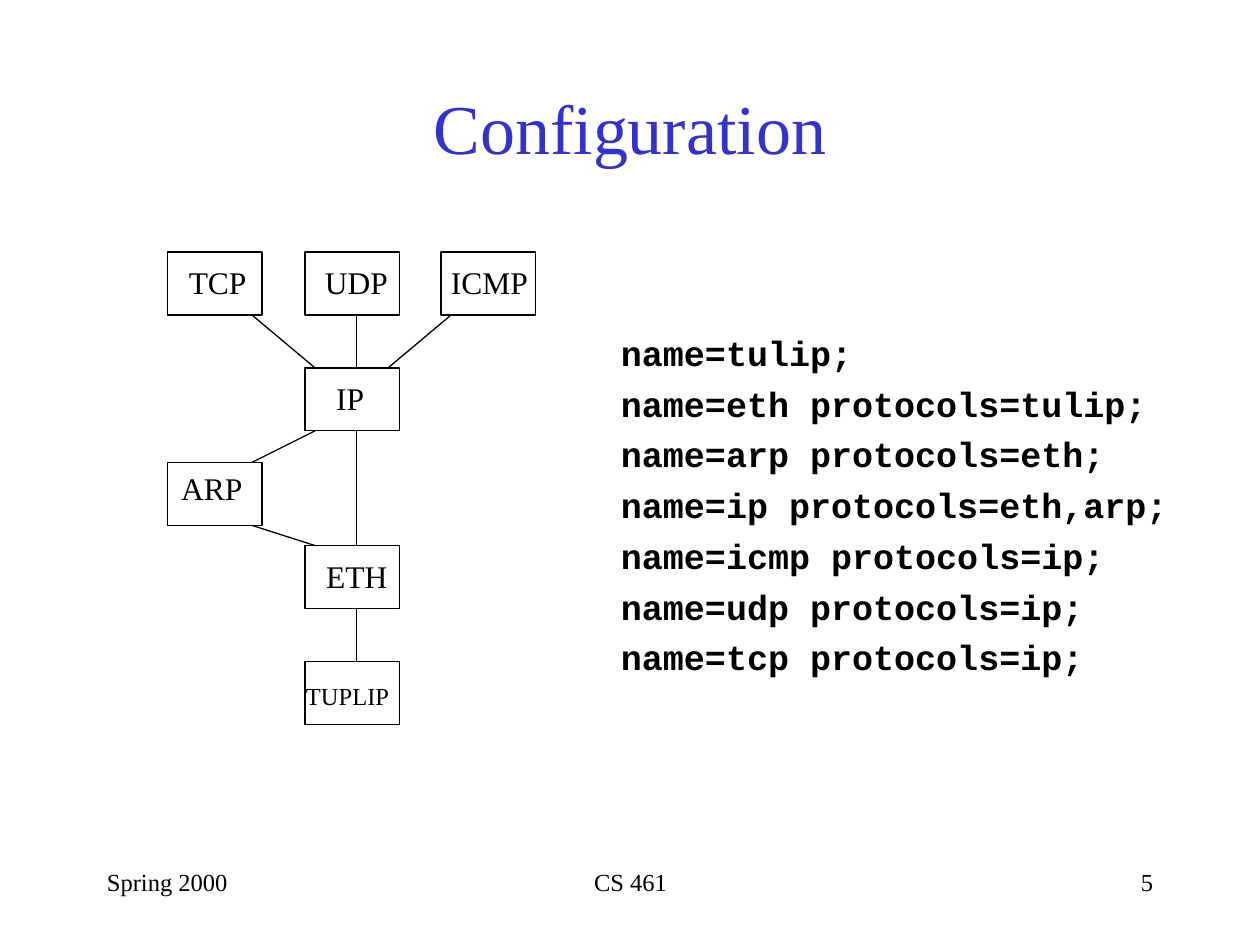
from pptx import Presentation, util as u
from pptx.dml.color import RGBColor
from pptx.enum import shapes, text
from pptx.oxml import xmlchemy as xml

BOX_W, BOX_H = 0.75, 0.5
LEFT, MID, RIGHT = 1.33, 2.42, 3.5
TRUNK = 2.83  # x of the vertical links

# name: (box left, box top, label left, label top, label width, size)
NODES = {
    "TCP": (LEFT, 2, 1.4, 2.04, 0.68, 18),
    "UDP": (MID, 2, 2.48, 2.04, 0.72, 18),
    "ICMP": (RIGHT, 2, 3.48, 2.04, 0.83, 18),
    "IP": (MID, 2.92, 2.57, 2.96, 0.44, 18),
    "ARP": (LEFT, 3.67, 1.34, 3.67, 0.7, 18),
    "ETH": (MID, 4.33, 2.49, 4.37, 0.7, 18),
    "TUPLIP": (MID, 5.25, 2.33, 5.36, 0.88, 14),
}

# upper node, x at its bottom edge, lower node, x at its top edge
LINKS = [
    ("UDP", TRUNK, "IP", TRUNK),
    ("ICMP", 3.58, "IP", 3.08),
    ("TCP", 2, "IP", 2.5),
    ("IP", TRUNK, "ETH", TRUNK),
    ("IP", 2.5, "ARP", 2),
    ("ARP", 2, "ETH", 2.5),
    ("ETH", TRUNK, "TUPLIP", TRUNK),
]

CONFIG = [
    "name=tulip;",
    "name=eth protocols=tulip;",
    "name=arp protocols=eth;",
    "name=ip protocols=eth,arp;",
    "name=icmp protocols=ip;",
    "name=udp protocols=ip;",
    "name=tcp protocols=ip;",
]


def color(code):
    return RGBColor.from_string(code)


def inches(*sizes):
    return [u.Inches(size) for size in sizes]


class Deck:
    serif, mono = "Times New Roman", "Courier New"
    ink, blue = "000000", "3333CC"
    stroke = 0.75

    def __init__(self):
        self.prs = Presentation()
        self.prs.slide_width, self.prs.slide_height = inches(10, 7.5)
        self.slide = self.prs.slides.add_slide(self.prs.slide_layouts[5])
        self.group = None

    def style(self, frame, size, font=serif, code=ink, bold=False,
              align=text.PP_ALIGN.LEFT):
        for par in frame.paragraphs:
            par.alignment = align
            for run in par.runs:
                run.font.name, run.font.size = font, u.Pt(size)
                run.font.bold = bold
                run.font.color.rgb = color(code)

    def title(self, words, *place):
        head = self.slide.shapes.title
        head.left, head.top, head.width, head.height = inches(*place)
        frame = head.text_frame
        frame.text = words
        frame.auto_size = text.MSO_AUTO_SIZE.NONE
        frame.vertical_anchor = text.MSO_ANCHOR.MIDDLE
        frame.paragraphs[0].line_spacing = 0.9
        self.style(frame, 40, code=self.blue, align=text.PP_ALIGN.CENTER)

    def note(self, words, place, size, **look):
        """Add a text box to the open group, or else to the slide."""
        home = self.group or self.slide
        frame = home.shapes.add_textbox(*inches(*place)).text_frame
        frame.text = words
        frame.word_wrap = True
        self.style(frame, size, **look)
        return frame

    def label(self, words, place, size):
        """Add a one-line text box that grows with its text."""
        frame = self.note(words, place, size)
        frame.word_wrap = False
        frame.auto_size = text.MSO_AUTO_SIZE.SHAPE_TO_FIT_TEXT

    def code(self, lines, place):
        frame = self.note("\n".join(lines), place, 20,
                          font=self.mono, bold=True)
        for par in frame.paragraphs:
            par.space_before = u.Pt(5)

    def box(self, left, top):
        rect = self.group.shapes.add_shape(
            shapes.MSO_SHAPE.RECTANGLE, *inches(left, top, BOX_W, BOX_H))
        rect.shadow.inherit = False
        rect.fill.background()
        rect.line.color.rgb = color(self.ink)
        rect.line.width = u.Pt(self.stroke)

    def link(self, *ends):
        line = self.group.shapes.add_connector(
            shapes.MSO_CONNECTOR.STRAIGHT, *inches(*ends))
        line.line.color.rgb = color(self.ink)
        line.line.width = u.Pt(self.stroke)
        props = line._element.spPr
        props.append(xml.OxmlElement("a:effectLst"))

    def graph(self):
        """Draw the protocol graph as one group."""
        self.group = self.slide.shapes.add_group_shape()
        for left, top, *_ in NODES.values():
            self.box(left, top)
        for upper, start, lower, end in LINKS:
            self.link(start, NODES[upper][1] + BOX_H, end, NODES[lower][1])
        for name, (_, _, left, top, width, size) in NODES.items():
            height = 0.4 if size == 18 else 0.34
            self.label(name, (left, top, width, height), size)
        self.group = None


def main():
    deck = Deck()
    deck.title("Configuration", 0.75, 0.42, 8.5, 1.25)
    deck.code(CONFIG, (4.83, 2.58, 4.67, 2.92))
    deck.graph()
    align = text.PP_ALIGN
    for words, left, width, side in [
        ("CS 461", 3.42, 3.17, align.CENTER),
        ("5", 7.17, 2.08, align.RIGHT),
        ("Spring 2000", 0.75, 2.08, align.LEFT),
    ]:
        deck.note(words, (left, 6.83, width, 0.5), 14, align=side)
    deck.prs.save("out.pptx")


if __name__ == "__main__":
    main()
